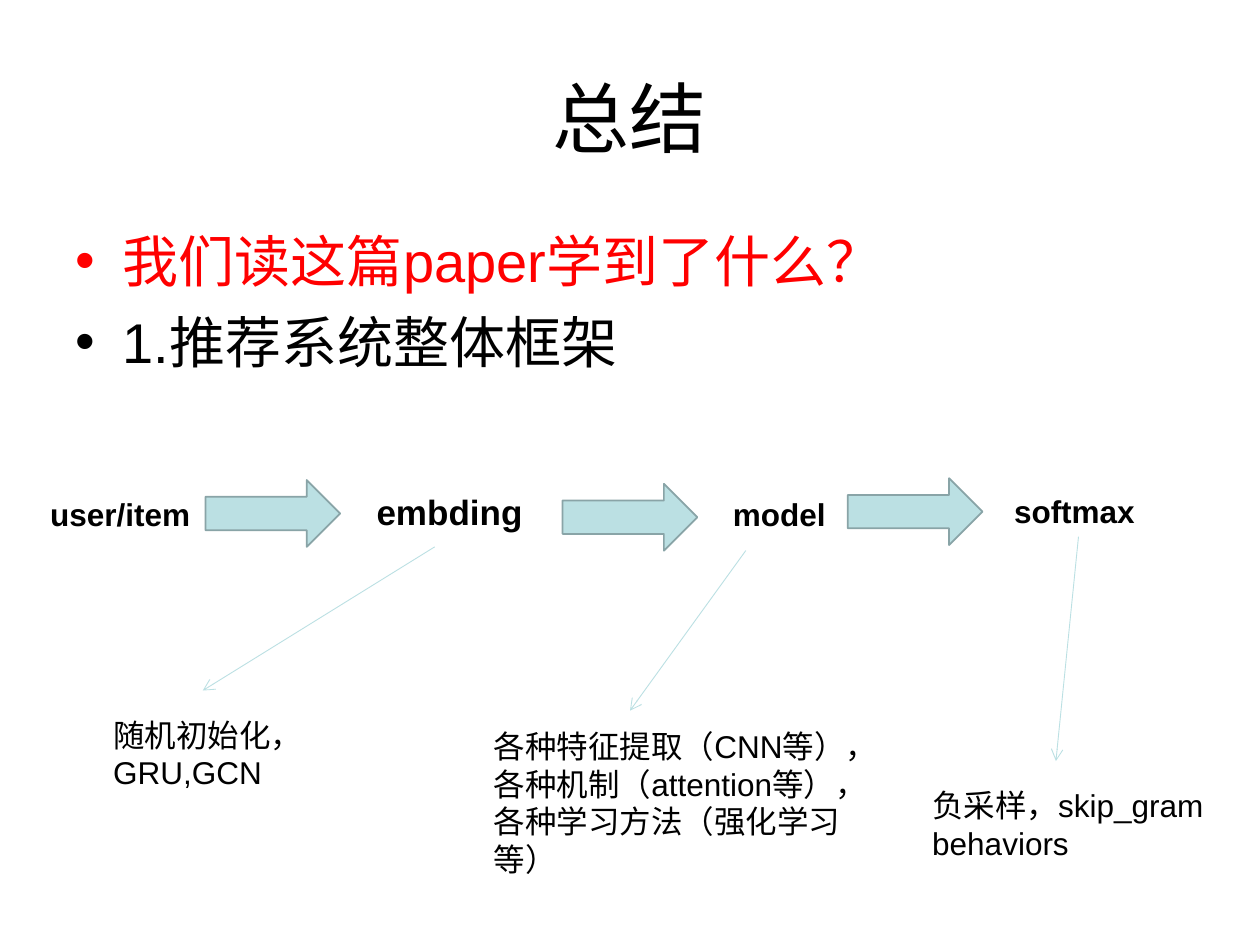
from lxml import etree
from pptx import Presentation
from pptx.dml.color import RGBColor
from pptx.enum import shapes, text
from pptx.oxml.ns import qn
from pptx.util import Pt

BLACK, RED, TEAL, EDGE = "000000", "FF0000", "BBE0E3", "89A4A7"


def style(para, size, color=BLACK, bold=False):
    for run in para.runs:
        font = run.font
        font.name, font.size, font.bold = "Arial", Pt(size), bold
        font.color.rgb = RGBColor.from_string(color)


def label(words, left, top, width, height, size=18, bold=False):
    """Add a wrapped text box with one paragraph."""
    box = slide.shapes.add_textbox(Pt(left), Pt(top), Pt(width), Pt(height))
    box.text_frame.word_wrap = True
    box.text_frame.text = words
    style(box.text_frame.paragraphs[0], size, bold=bold)


prs = Presentation()
prs.slide_width, prs.slide_height = Pt(720), Pt(540)
slide = prs.slides.add_slide(prs.slide_layouts[5])

# Title
title = slide.shapes.title
title.left, title.top, title.width, title.height = Pt(36), Pt(21.6), Pt(648), Pt(90)
title.text_frame.text = "总结"
title.text_frame.vertical_anchor = text.MSO_ANCHOR.MIDDLE
head = title.text_frame.paragraphs[0]
head.alignment = text.PP_ALIGN.CENTER
style(head, 44)

# Bulleted points
body = slide.shapes.add_textbox(Pt(36), Pt(126), Pt(648), Pt(356.4)).text_frame
body.word_wrap = True
points = [("我们读这篇paper学到了什么？", RED), ("1.推荐系统整体框架", BLACK)]
body.text = "\n".join(words for words, color in points)
for para, (words, color) in zip(body.paragraphs, points):
    para.space_before = Pt(8)
    style(para, 32, color)
    props = para._p.get_or_add_pPr()
    props.set("marL", str(Pt(27)))
    props.set("indent", str(Pt(-27)))
    etree.SubElement(props, qn("a:buFont"), typeface="Arial")
    etree.SubElement(props, qn("a:buChar"), char="•")

# Pipeline stages
for words, left, top, width, height, size in [
    ("user/item", 21.6, 279.4, 95.8, 28.8, 18),
    ("embding", 208.1, 276.5, 97.9, 31.7, 20),
    ("model", 411.8, 279.4, 95.8, 28.8, 18),
    ("softmax", 572.4, 277.9, 95.8, 28.8, 18),
]:
    label(words, left, top, width, height, size, True)

# Block arrows between stages
for left, top in [(117.4, 274.3), (321.5, 276.5), (484.5, 273.3)]:
    block = slide.shapes.add_shape(
        shapes.MSO_SHAPE.RIGHT_ARROW, Pt(left), Pt(top), Pt(77), Pt(38.2))
    block.shadow.inherit = False
    block.fill.solid()
    block.fill.fore_color.rgb = RGBColor.from_string(TEAL)
    block.line.color.rgb = RGBColor.from_string(EDGE)
    block.line.width = Pt(1)

# Notes on the stages
label("随机初始化，GRU,GCN", 57.6, 405.4, 132.5, 50.4)
label("各种特征提取（CNN等），各种机制（attention等），各种学习方法（强化学习等）",
      275.2, 411.8, 232.6, 93.6)
label("负采样，skip_gram behaviors", 525.6, 445.7, 173.5, 50.4)

# Thin arrows from stage to note
for ends in [(248.4, 312.5, 115.9, 394.6), (426.2, 314.6, 360, 406.1),
             (616.3, 306.7, 603.4, 434.9)]:
    link = slide.shapes.add_connector(
        shapes.MSO_CONNECTOR.STRAIGHT, *[Pt(end) for end in ends])
    link.line.color.rgb = RGBColor.from_string(TEAL)
    link.line.width = Pt(0.5)
    etree.SubElement(link.line._get_or_add_ln(), qn("a:tailEnd"), type="arrow")
    etree.SubElement(link._element.spPr, qn("a:effectLst"))

prs.save("out.pptx")
